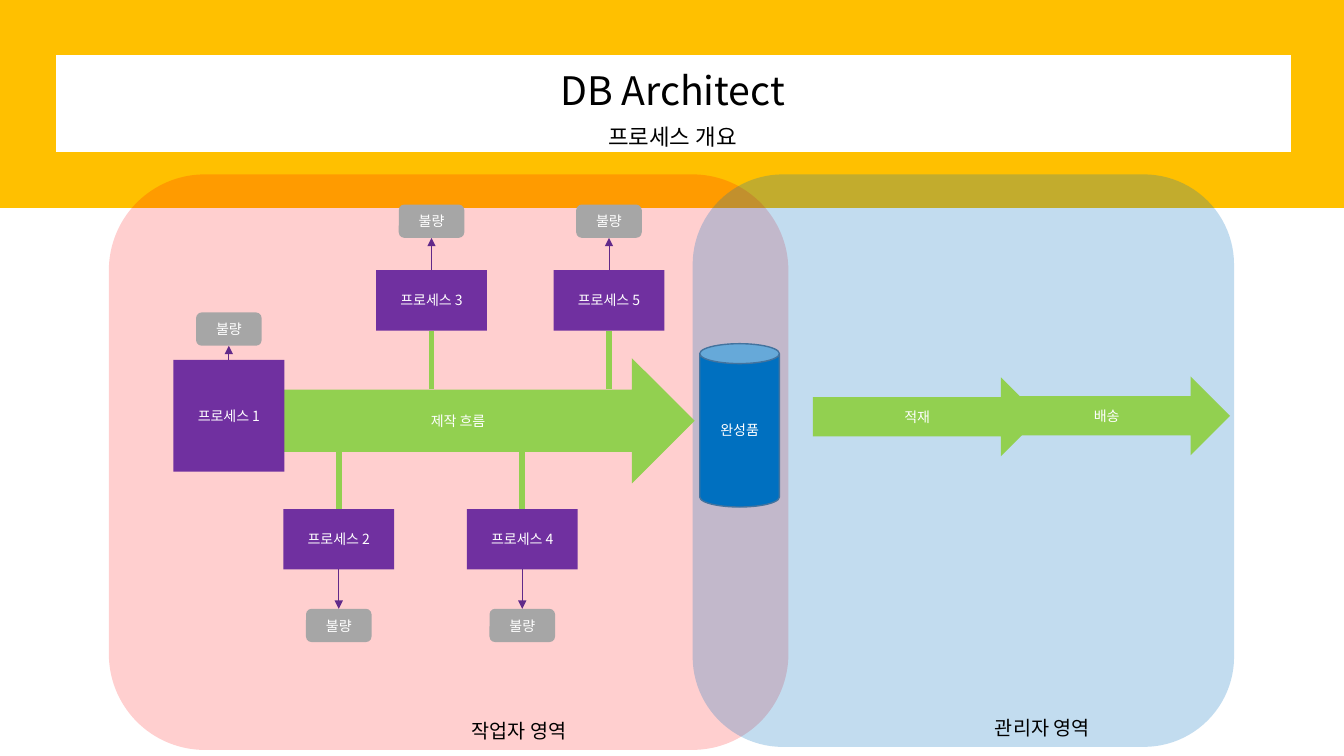
from lxml import etree
from pptx import Presentation
from pptx.dml.color import RGBColor
from pptx.enum.shapes import MSO_CONNECTOR, MSO_SHAPE
from pptx.enum.text import MSO_ANCHOR, PP_ALIGN
from pptx.oxml.ns import qn
from pptx.util import Inches, Pt

RECTANGLE = MSO_SHAPE.RECTANGLE
ROUNDED = MSO_SHAPE.ROUNDED_RECTANGLE
RIGHT_ARROW = MSO_SHAPE.RIGHT_ARROW
CAN = MSO_SHAPE.CAN
STRAIGHT = MSO_CONNECTOR.STRAIGHT
LEFT, CENTER = PP_ALIGN.LEFT, PP_ALIGN.CENTER
TOP, MIDDLE = MSO_ANCHOR.TOP, MSO_ANCHOR.MIDDLE

FONT = "Noto Sans CJK KR"
YELLOW, RED, BLUE = "FFC000", "FF0000", "0070C0"
GREEN, PURPLE, GRAY = "92D050", "7030A0", "A6A6A6"
DARK_PURPLE, DARK_BLUE = "612A8A", "43739E"
BLACK, WHITE = "000000", "FFFFFF"

PROCESS_WIDTH, PROCESS_HEIGHT = 1.1, 0.6
DEFECT_WIDTH, DEFECT_HEIGHT = 0.65, 0.33
FLOW_TOP, FLOW_BOTTOM = 3.86, 4.47
UPPER_PROCESS_TOP, LOWER_PROCESS_TOP = 2.68, 5.05
UPPER_DEFECT_TOP, LOWER_DEFECT_TOP = 2.03, 6.04


def color(value):
    return RGBColor.from_string(value)


def write_text(shape, text, size=10, font_color=WHITE, align=CENTER, anchor=MIDDLE):
    frame = shape.text_frame
    frame.word_wrap = True
    frame.vertical_anchor = anchor
    paragraph = frame.paragraphs[0]
    paragraph.alignment = align
    run = paragraph.add_run()
    run.text = text
    run.font.size = Pt(size)
    run.font.name = FONT
    run.font.color.rgb = color(font_color)
    etree.SubElement(run._r.get_or_add_rPr(), qn("a:ea"), typeface=FONT)


def add_label(slide, text, left, top, width, height, size, align=CENTER):
    box = slide.shapes.add_textbox(
        Inches(left), Inches(top), Inches(width), Inches(height))
    write_text(box, text, size=size, font_color=BLACK, align=align, anchor=TOP)


def add_block(slide, kind, left, top, width, height, fill=None, line=None,
              line_width=1, opacity=None, text=None):
    """Add a preset shape; opacity is a percentage of the fill."""
    shape = slide.shapes.add_shape(
        kind, Inches(left), Inches(top), Inches(width), Inches(height))
    shape.shadow.inherit = False
    if fill:
        shape.fill.solid()
        shape.fill.fore_color.rgb = color(fill)
    else:
        shape.fill.background()
    if opacity:
        fill_color = shape._element.spPr.find(qn("a:solidFill"))[0]
        etree.SubElement(fill_color, qn("a:alpha"), val=str(opacity * 1000))
    if line:
        shape.line.color.rgb = color(line)
        shape.line.width = Pt(line_width)
        etree.SubElement(shape.line._get_or_add_ln(), qn("a:miter"), lim="800000")
    else:
        shape.line.fill.background()
    if text:
        write_text(shape, text)


def add_vertical_line(slide, x, start, end, line, width, arrow=False):
    connector = slide.shapes.add_connector(
        STRAIGHT, Inches(x), Inches(start), Inches(x), Inches(end))
    connector.line.color.rgb = color(line)
    connector.line.width = Pt(width)
    if arrow:
        etree.SubElement(connector.line._get_or_add_ln(), qn("a:tailEnd"),
                         type="triangle")
    etree.SubElement(connector._element.spPr, qn("a:effectLst"))


def add_defect(slide, x, top, start):
    """Add a defect box centred on x, with an arrow to it from height start."""
    end = top if start < top else top + DEFECT_HEIGHT
    add_vertical_line(slide, x, start, end, DARK_PURPLE, 0.5, arrow=True)
    add_block(slide, ROUNDED, x - DEFECT_WIDTH / 2, top, DEFECT_WIDTH,
              DEFECT_HEIGHT, GRAY, text="불량")


def add_process(slide, number, x, upper):
    """Add a process above or below the flow, with its stem and defect."""
    if upper:
        top, defect_top = UPPER_PROCESS_TOP, UPPER_DEFECT_TOP
        stem, outer_edge = (top + PROCESS_HEIGHT, FLOW_TOP), top
    else:
        top, defect_top = LOWER_PROCESS_TOP, LOWER_DEFECT_TOP
        stem, outer_edge = (FLOW_BOTTOM, top), top + PROCESS_HEIGHT
    add_vertical_line(slide, x, *stem, GREEN, 4)
    add_block(slide, RECTANGLE, x - PROCESS_WIDTH / 2, top, PROCESS_WIDTH,
              PROCESS_HEIGHT, PURPLE, text=f"프로세스 {number}")
    add_defect(slide, x, defect_top, outer_edge)


def add_arrow(slide, text, left, top, width, height):
    add_block(slide, RIGHT_ARROW, left, top, width, height, GREEN, GREEN, text=text)


def main():
    presentation = Presentation()
    presentation.slide_width = Inches(13.33)
    presentation.slide_height = Inches(7.5)
    slide = presentation.slides.add_slide(presentation.slide_layouts[6])

    add_block(slide, RECTANGLE, 0.28, 0.27, 12.8, 1.52, line=YELLOW, line_width=40)
    add_block(slide, ROUNDED, 1.08, 1.73, 6.74, 5.71, RED, opacity=19)
    add_label(slide, "DB Architect", 0.56, 0.61, 12.22, 0.57, 28)
    add_block(slide, ROUNDED, 6.87, 1.73, 5.37, 5.68, BLUE, opacity=24)

    add_arrow(slide, "제작 흐름", 2.51, 3.57, 4.37, 1.21)
    add_block(slide, RECTANGLE, 1.72, 3.57, PROCESS_WIDTH, 1.11, PURPLE,
              text="프로세스 1")
    add_defect(slide, 2.27, 3.1, 3.57)
    for number, x in enumerate((3.36, 4.28, 5.18, 6.04), start=2):
        add_process(slide, number, x, upper=number % 2 == 1)

    add_block(slide, CAN, 6.94, 3.41, 0.79, 1.62, BLUE, DARK_BLUE, text="완성품")
    add_label(slide, "프로세스 개요", 0.56, 1.17, 12.22, 0.37, 16)
    add_arrow(slide, "적재", 8.07, 3.76, 2.24, 0.75)
    add_arrow(slide, "배송", 9.95, 3.75, 2.24, 0.75)
    add_label(slide, "작업자 영역", 4.58, 7.08, 1.2, 0.34, 14, align=LEFT)
    add_label(slide, "관리자 영역", 9.77, 7.05, 1.2, 0.34, 14, align=LEFT)
    presentation.save("out.pptx")


if __name__ == "__main__":
    main()
